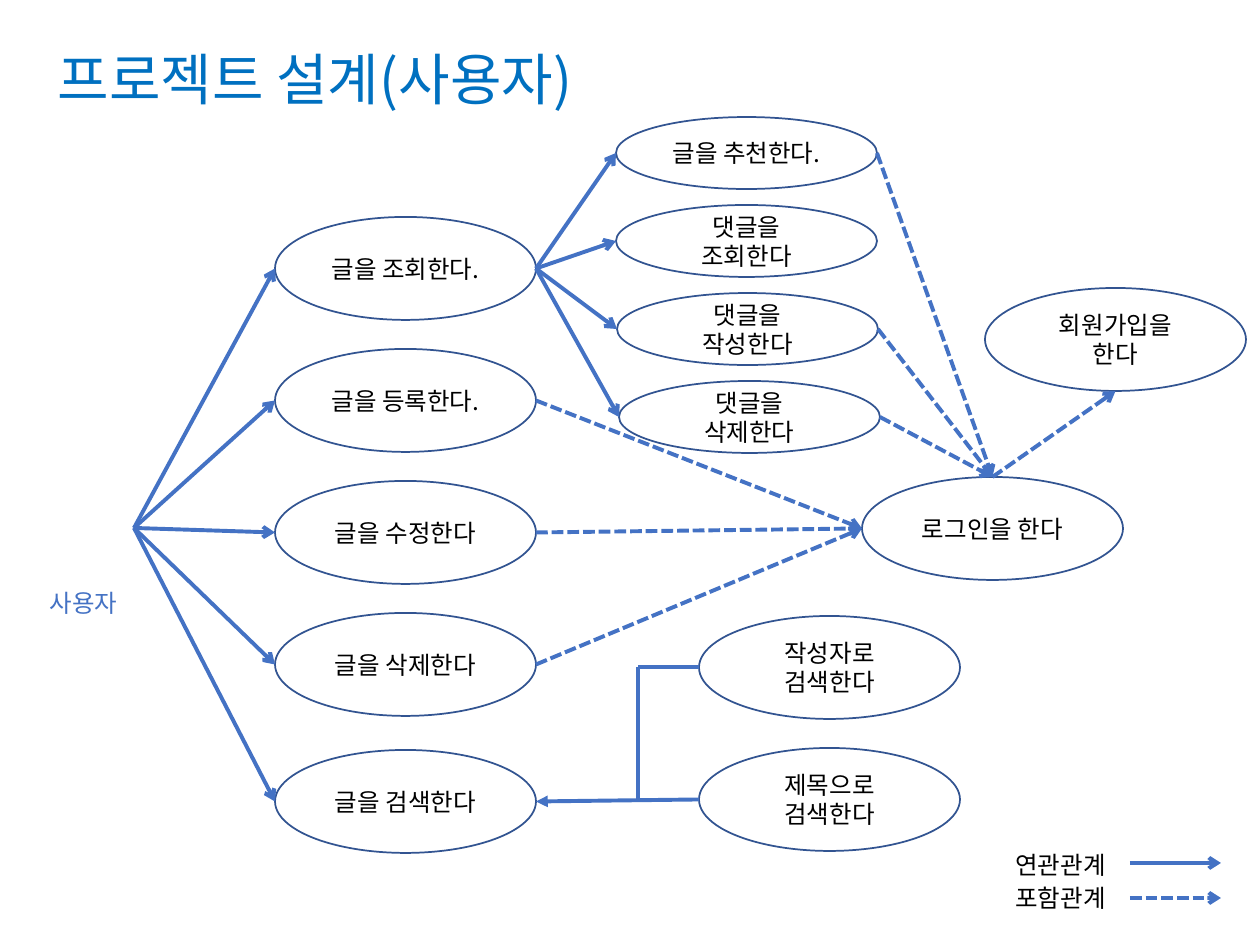
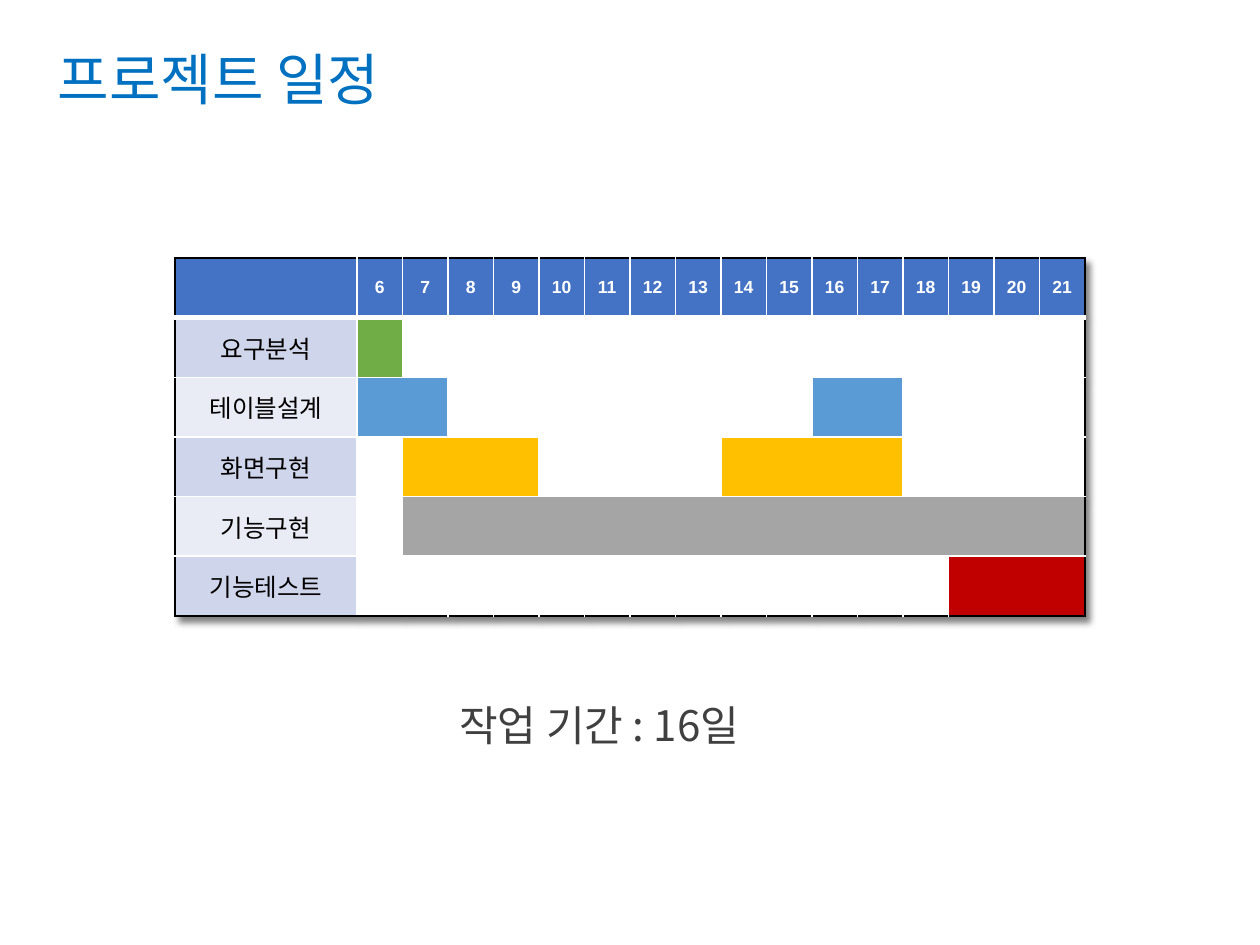
"""Build the use case diagram slide and the project schedule slide."""
from lxml.etree import SubElement
from pptx import Presentation
from pptx.dml.color import RGBColor
from pptx.enum.dml import MSO_LINE
from pptx.enum.shapes import MSO_CONNECTOR, MSO_SHAPE
from pptx.enum.text import MSO_ANCHOR, MSO_AUTO_SIZE, PP_ALIGN
from pptx.oxml import parse_xml
from pptx.oxml.ns import nsdecls, qn
from pptx.util import Pt

EMU_PER_PX = 914400 / 126
FONT, NUMBER_FONT = "Noto Sans CJK KR", "Arial"
WHITE = RGBColor(0xFF, 0xFF, 0xFF)
BLACK = RGBColor(0x00, 0x00, 0x00)
TITLE_BLUE = RGBColor(0x00, 0x70, 0xC0)
BLUE = RGBColor(0x44, 0x72, 0xC4)
OUTLINE = RGBColor(0x32, 0x54, 0x91)
CAPTION_GRAY = RGBColor(0x40, 0x40, 0x40)
LABEL_FILLS = RGBColor(0xCF, 0xD5, 0xEA), RGBColor(0xE9, 0xEB, 0xF5)
GREEN = RGBColor(0x70, 0xAD, 0x47)
LIGHT_BLUE = RGBColor(0x5B, 0x9B, 0xD5)
GOLD = RGBColor(0xFF, 0xC0, 0x00)
GRAY = RGBColor(0xA5, 0xA5, 0xA5)
RED = RGBColor(0xC0, 0x00, 0x00)

TITLE_BOX = (45, 38, 1215, 81)
OVAL_WIDTH, OVAL_HEIGHT, REPLY_HEIGHT = 261, 103, 72
POST_LEFT, POST_TOP, POST_STEP = 275, 217, 132
REPLY_TOP, REPLY_STEP = 117, 88
USER_POINT = (134, 528)
BRANCH_X = 638

POSTS = ["글을 조회한다.", "글을 등록한다.", "글을 수정한다", "글을 삭제한다"]
REPLIES = [("글을 추천한다.", 616), ("댓글을 조회한다", 616),
           ("댓글을 작성한다", 617), ("댓글을 삭제한다", 619)]
OTHER_CASES = {
    "글을 검색한다": (POST_LEFT, 750),
    "로그인을 한다": (862, 477),
    "회원가입을 한다": (985, 288),
    "작성자로 검색한다": (699, 616),
    "제목으로 검색한다": (699, 748),
}
NEEDS_LOGIN_POSTS = POSTS[1:]
NEEDS_LOGIN_REPLIES = ["글을 추천한다.", "댓글을 작성한다", "댓글을 삭제한다"]
LEGEND = [("연관관계", 843, 863, False), ("포함관계", 876, 898, True)]

DAYS = range(6, 22)
TASKS = [
    ("요구분석", GREEN, [(6, 6)]),
    ("테이블설계", LIGHT_BLUE, [(6, 7), (16, 17)]),
    ("화면구현", GOLD, [(7, 9), (14, 17)]),
    ("기능구현", GRAY, [(7, 21)]),
    ("기능테스트", RED, [(19, 21)]),
]
TABLE_BOX = (175, 258, 910, 358)
LABEL_WIDTH = 182


def emu(*lengths):
    return [round(length * EMU_PER_PX) for length in lengths]


def style_text(frame, size, color, align=PP_ALIGN.LEFT, font=FONT, bold=False):
    for para in frame.paragraphs:
        para.alignment = align
        for span in para.runs:
            span.font.size, span.font.name, span.font.bold = Pt(size), font, bold
            span.font.color.rgb = color
            SubElement(span.font._element, qn("a:ea"), typeface=font)


def add_page(deck, title):
    page = deck.slides.add_slide(deck.slide_layouts[5])
    box = page.shapes.title
    box.left, box.top, box.width, box.height = emu(*TITLE_BOX)
    box.text_frame.text = title
    box.text_frame.auto_size = MSO_AUTO_SIZE.NONE
    box.text_frame.vertical_anchor = MSO_ANCHOR.MIDDLE
    style_text(box.text_frame, 32, TITLE_BLUE)
    return page


def add_label(page, text, bounds, size, color, align=PP_ALIGN.LEFT):
    frame = page.shapes.add_textbox(*emu(*bounds)).text_frame
    frame.text, frame.word_wrap = text, True
    frame.vertical_anchor = MSO_ANCHOR.MIDDLE
    style_text(frame, size, color, align)


def add_case(page, text, left, top, height=OVAL_HEIGHT):
    """Draw one use case and return its side points."""
    oval = page.shapes.add_shape(MSO_SHAPE.OVAL, *emu(left, top, OVAL_WIDTH, height))
    oval.shadow.inherit = False
    oval.fill.solid()
    oval.fill.fore_color.rgb = WHITE
    oval.line.color.rgb, oval.line.width = OUTLINE, Pt(1)
    oval.text_frame.text = text
    oval.text_frame.vertical_anchor = MSO_ANCHOR.MIDDLE
    style_text(oval.text_frame, 14, BLACK, PP_ALIGN.CENTER)
    center, middle = left + OVAL_WIDTH / 2, top + height / 2
    return {"left": (left, middle), "right": (left + OVAL_WIDTH, middle),
            "top": (center, top), "bottom": (center, top + height)}


def add_link(page, start, end, dashed=False, head="arrow"):
    link = page.shapes.add_connector(MSO_CONNECTOR.STRAIGHT, *emu(*start, *end))
    link.line.color.rgb, link.line.width = BLUE, Pt(2.25)
    if dashed:
        link.line.dash_style = MSO_LINE.SQUARE_DOT
    if head:
        SubElement(link.line._get_or_add_ln(), qn("a:tailEnd"), type=head)
    SubElement(link._element.spPr, qn("a:effectLst"))


def build_use_cases(deck):
    page = add_page(deck, "프로젝트 설계(사용자)")
    posts = {text: add_case(page, text, POST_LEFT, POST_TOP + POST_STEP * row)
             for row, text in enumerate(POSTS)}
    replies = {text: add_case(page, text, left, REPLY_TOP + REPLY_STEP * row, REPLY_HEIGHT)
               for row, (text, left) in enumerate(REPLIES)}
    search, login, signup, by_author, by_title = [
        add_case(page, text, *place) for text, place in OTHER_CASES.items()]

    for case in [*posts.values(), search]:
        add_link(page, USER_POINT, case["left"])
    for case in replies.values():
        add_link(page, posts[POSTS[0]]["right"], case["left"])
    for text in NEEDS_LOGIN_POSTS:
        add_link(page, posts[text]["right"], login["left"], dashed=True)
    for text in NEEDS_LOGIN_REPLIES:
        add_link(page, replies[text]["right"], login["top"], dashed=True)
    add_link(page, login["top"], signup["bottom"], dashed=True)

    add_link(page, by_title["left"], search["right"], head="triangle")
    branch_top = (BRANCH_X, by_author["left"][1])
    add_link(page, by_author["left"], branch_top, head=None)
    add_link(page, (BRANCH_X, by_title["left"][1]), branch_top, head=None)

    add_label(page, "사용자", (33, 581, 101, 43), 14, BLUE, PP_ALIGN.CENTER)
    for text, top, line_y, dashed in LEGEND:
        add_label(page, text, (1003, top, 125, 43), 14, BLACK)
        add_link(page, (1130, line_y), (1221, line_y), dashed)


def set_borders(cell, row, first, last):
    edges = {
        "L": (BLACK if first == 0 else WHITE, 1),
        "R": (BLACK if last == len(DAYS) else WHITE, 1),
        "T": (BLACK if row == 0 else WHITE, 3 if row == 1 else 1),
        "B": (BLACK if row == len(TASKS) else WHITE, 3 if row == 0 else 1),
    }
    props = cell._tc.get_or_add_tcPr()
    for place, (side, (color, width)) in enumerate(edges.items()):
        props.insert(place, parse_xml(
            f'<a:ln{side} {nsdecls("a")} w="{Pt(width)}"><a:solidFill>'
            f'<a:srgbClr val="{color}"/></a:solidFill></a:ln{side}>'))


def fill_cell(cell, fill_color, text="", **style):
    cell.fill.solid()
    cell.fill.fore_color.rgb = fill_color
    cell.vertical_anchor = MSO_ANCHOR.MIDDLE
    if text:
        cell.margin_left = cell.margin_right = 0
        cell.text_frame.text = text
        style_text(cell.text_frame, align=PP_ALIGN.CENTER, **style)


def build_schedule(deck):
    page = add_page(deck, "프로젝트 일정")
    left, top, width, height = TABLE_BOX
    rows, columns = len(TASKS) + 1, len(DAYS) + 1
    table = page.shapes.add_table(rows, columns, *emu(*TABLE_BOX)).table
    table._tbl.tblPr.insert(0, parse_xml(
        f'<a:effectLst {nsdecls("a")}><a:outerShdw blurRad="50800" dist="50800" dir="2700000">'
        '<a:srgbClr val="000000"><a:alpha val="50000"/></a:srgbClr></a:outerShdw></a:effectLst>'))
    day_width = (width - LABEL_WIDTH) / len(DAYS)
    for index, column in enumerate(table.columns):
        column.width = emu(day_width if index else LABEL_WIDTH)[0]
    for row in table.rows:
        row.height = emu(height / rows)[0]

    fill_cell(table.cell(0, 0), BLUE)
    for column, day in enumerate(DAYS, 1):
        fill_cell(table.cell(0, column), BLUE, str(day),
                  size=10, color=WHITE, font=NUMBER_FONT, bold=True)
    ends = {}
    for row, (task, color, periods) in enumerate(TASKS, 1):
        fill_cell(table.cell(row, 0), LABEL_FILLS[(row - 1) % 2], task, size=14, color=BLACK)
        for column in range(1, columns):
            fill_cell(table.cell(row, column), WHITE)
        for period in periods:
            first, last = (day - DAYS[0] + 1 for day in period)
            fill_cell(table.cell(row, first), color)
            ends[row, first] = last
            if last > first:
                table.cell(row, first).merge(table.cell(row, last))
    for row in range(rows):
        for column in range(columns):
            set_borders(table.cell(row, column), row, column, ends.get((row, column), column))

    add_label(page, "작업 기간 : 16일", (447, 693, 364, 63), 24, CAPTION_GRAY)


def main():
    deck = Presentation()
    deck.slide_width, deck.slide_height = emu(1260, 945)
    build_use_cases(deck)
    build_schedule(deck)
    deck.save("out.pptx")


if __name__ == "__main__":
    main()
